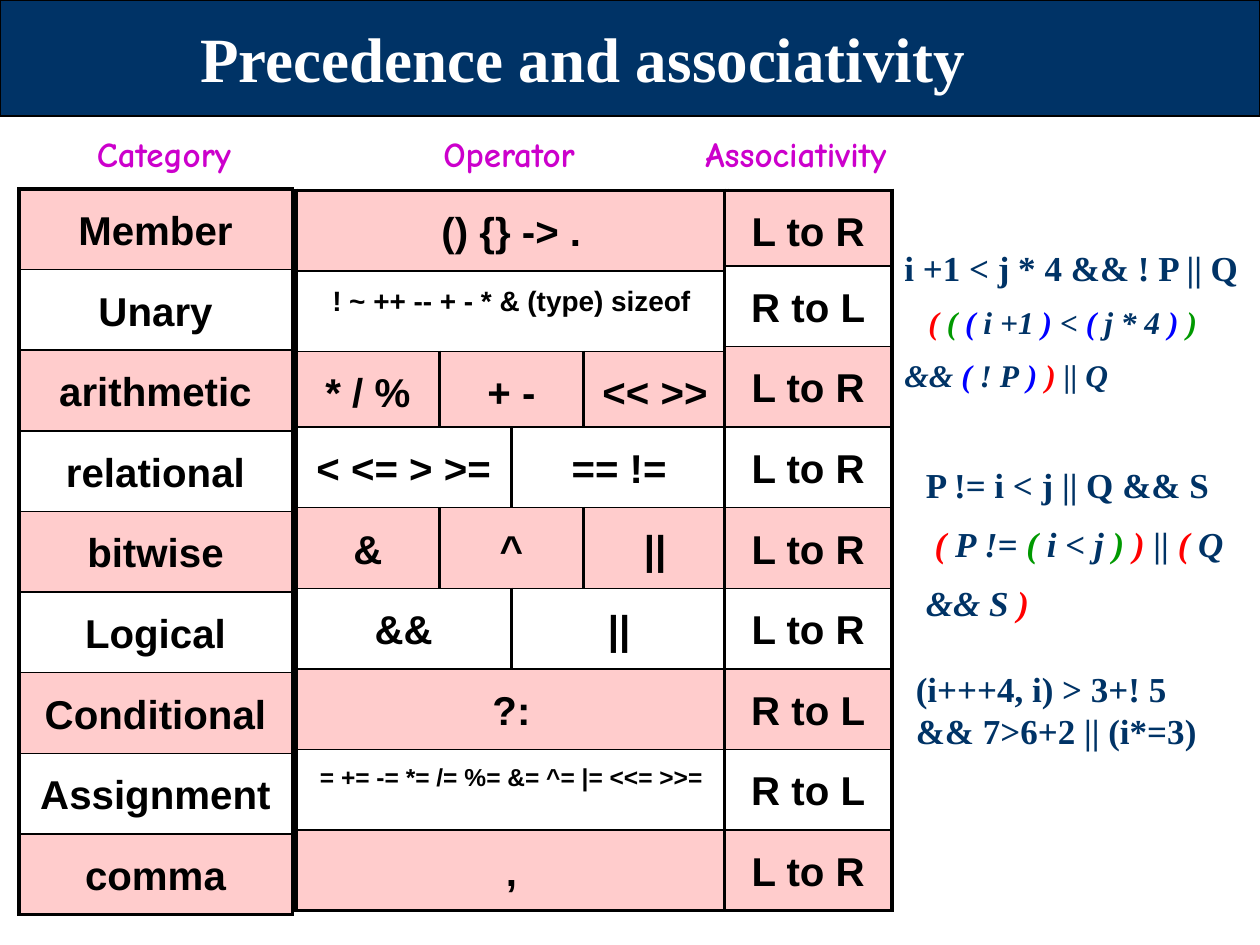
from lxml.etree import SubElement
from pptx import Presentation
from pptx.dml.color import RGBColor as RGB
from pptx.enum.shapes import MSO_SHAPE as Shape
from pptx.enum.text import MSO_ANCHOR as Anchor, MSO_AUTO_SIZE as AutoSize, PP_ALIGN as Align
from pptx.oxml.ns import qn
from pptx.util import Inches, Pt

NAVY, PINK, WHITE, BLACK = "003366", "FFCCCC", "FFFFFF", "000000"
RED, GREEN, BLUE, MAGENTA = "FF0000", "009900", "0000FF", "CC00CC"


def color(target, value):
    if hasattr(target, "solid"):
        target.solid()
        target = target.fore_color
    else:
        target = target.color
    target.rgb = RGB.from_string(value)


def write(paragraph, text, value, **format_values):
    run = paragraph.add_run()
    run.text = text
    for name, setting in format_values.items():
        setattr(run.font, name, setting)
    color(run.font, value)


prs = Presentation()
prs.slide_width, prs.slide_height = Inches(10), Inches(7.5)
slide = prs.slides.add_slide(prs.slide_layouts[5])
shapes = slide.shapes

title = shapes.title
title.left, title.top = Inches(0.25), Inches(0.08)
title.width, title.height = Inches(8.75), Inches(0.75)
title.text_frame.vertical_anchor = Anchor.MIDDLE
heading = title.text_frame.paragraphs[0]
heading.alignment = Align.CENTER
write(heading, "Precedence and associativity", WHITE, size=Pt(36), name="Times New Roman", bold=True)

banner = shapes.add_shape(Shape.RECTANGLE, 0, 0, Inches(10), Inches(0.92))
banner.shadow.inherit = False
color(banner.fill, NAVY)
color(banner.line, BLACK)
banner.line.width = Pt(0.75)
title._element.addprevious(banner._element)

categories = ["Member", "Unary", "arithmetic", "relational", "bitwise",
              "Logical", "Conditional", "Assignment", "comma"]
operators = [
    ["() {} -> ."],
    ["! ~ ++ -- + - * & (type) sizeof"],
    ["* / %", "+ -", "<< >>"],
    ["< <= > >=", "== !="],
    ["&", "^", "||"],
    ["&&", "||"],
    ["?:"],
    ["= += -= *= /= %= &= ^= |= <<= >>="],
    [","],
]
directions = ["L to R", "R to L", "L to R", "L to R", "L to R",
              "L to R", "R to L", "R to L", "L to R"]
spans = {1: [(0, 3)], 2: [(0, 1), (2, 3)], 3: [(0, 0), (1, 2), (3, 3)]}
small_sizes = {1: 16, 7: 14}

grids = [
    (0.15, 1.5, [2.17], {}, [[text] for text in categories]),
    (2.35, 1.51, [1.14, 0.57, 0.57, 1.14], {2: 0.6}, operators),
    (5.75, 1.51, [1.33], {0: 0.6}, [[text] for text in directions]),
]
for left, top, widths, short_rows, rows in grids:
    last = len(rows) - 1
    heights = [short_rows.get(r, 0.64) for r in range(len(rows))]
    table = shapes.add_table(len(rows), len(widths), Inches(left), Inches(top),
                             Inches(sum(widths)), Inches(sum(heights))).table
    table.first_row = table.horz_banding = False
    for column, width in zip(table.columns, widths):
        column.width = Inches(width)
    for r, texts in enumerate(rows):
        table.rows[r].height = Inches(heights[r])
        for cell in table.rows[r].cells:
            borders = {"L": 2.25, "R": 2.25, "T": 2.25 if r == 0 else 1, "B": 2.25 if r == last else 1}
            for side, weight in borders.items():
                edge = SubElement(cell._tc.get_or_add_tcPr(), qn(f"a:ln{side}"), w=str(Pt(weight)))
                SubElement(SubElement(edge, qn("a:solidFill")), qn("a:srgbClr"), val=BLACK)
            color(cell.fill, WHITE if r % 2 else PINK)
        columns = spans[len(texts)] if len(widths) > 1 else [(0, 0)]
        for text, (first, end) in zip(texts, columns):
            cell = table.cell(r, first)
            if end > first:
                cell.merge(table.cell(r, end))
            entry = cell.text_frame.paragraphs[0]
            entry.alignment, entry.line_spacing = Align.CENTER, 1.3
            size = small_sizes.get(r, 23) if len(widths) > 1 else 23
            write(entry, text, BLACK, size=Pt(size), name="Arial", bold=True)

for text, left, width in [("Operator", 3.42, 1.44), ("Category", 0.67, 1.4), ("Associativity", 5.5, 1.92)]:
    label = shapes.add_textbox(Inches(left), Inches(1), Inches(width), Inches(0.44)).text_frame
    label.word_wrap, label.auto_size = False, AutoSize.SHAPE_TO_FIT_TEXT
    write(label.paragraphs[0], text, MAGENTA, size=Pt(20), name="Comic Neue", bold=True)

examples = [
    (7.08, 1.77, 2.92, 1.42, 1.4, [
        (20, False, 0, [("i +1 < j * 4 && ! P || Q", NAVY)]),
        (18, True, 0.19, [("( ", RED), ("( ", GREEN), ("( ", BLUE), ("i +1", NAVY), (" ) ", BLUE),
                          ("< ", NAVY), ("( ", BLUE), ("j * 4", NAVY), (" ) ", BLUE), (")", GREEN)]),
        (18, True, 0, [("&&", NAVY), (" ( ", BLUE), ("! P", NAVY), (" ) ", BLUE),
                       (") ", RED), ("|| Q", NAVY)]),
    ]),
    (7.25, 3.5, 2.58, 1.51, 1.4, [
        (20, False, 0, [("P != i < j || Q && S", NAVY)]),
        (20, True, 0.07, [("( ", RED), ("P != ", NAVY), ("( ", GREEN), ("i < j ", NAVY), (")", GREEN),
                          (" ) ", RED), ("|| ", NAVY), ("( ", RED), ("Q && S ", NAVY), (")", RED)]),
    ]),
    (7.17, 5.25, 2.67, 0.77, 1, [
        (20, False, 0, [("(i+++4, i) > 3+! 5 && 7>6+2 || (i*=3)", NAVY)]),
    ]),
]
for left, top, width, height, spacing, expressions in examples:
    example = shapes.add_textbox(Inches(left), Inches(top), Inches(width), Inches(height)).text_frame
    example.word_wrap, example.auto_size = True, AutoSize.SHAPE_TO_FIT_TEXT
    for index, (size, italic, indent, parts) in enumerate(expressions):
        expression = example.add_paragraph() if index else example.paragraphs[0]
        expression.line_spacing = spacing
        expression._p.get_or_add_pPr().set("indent", str(Inches(indent)))
        for text, value in parts:
            write(expression, text, value, size=Pt(size), name="Times New Roman", bold=True, italic=italic)

prs.save("out.pptx")
